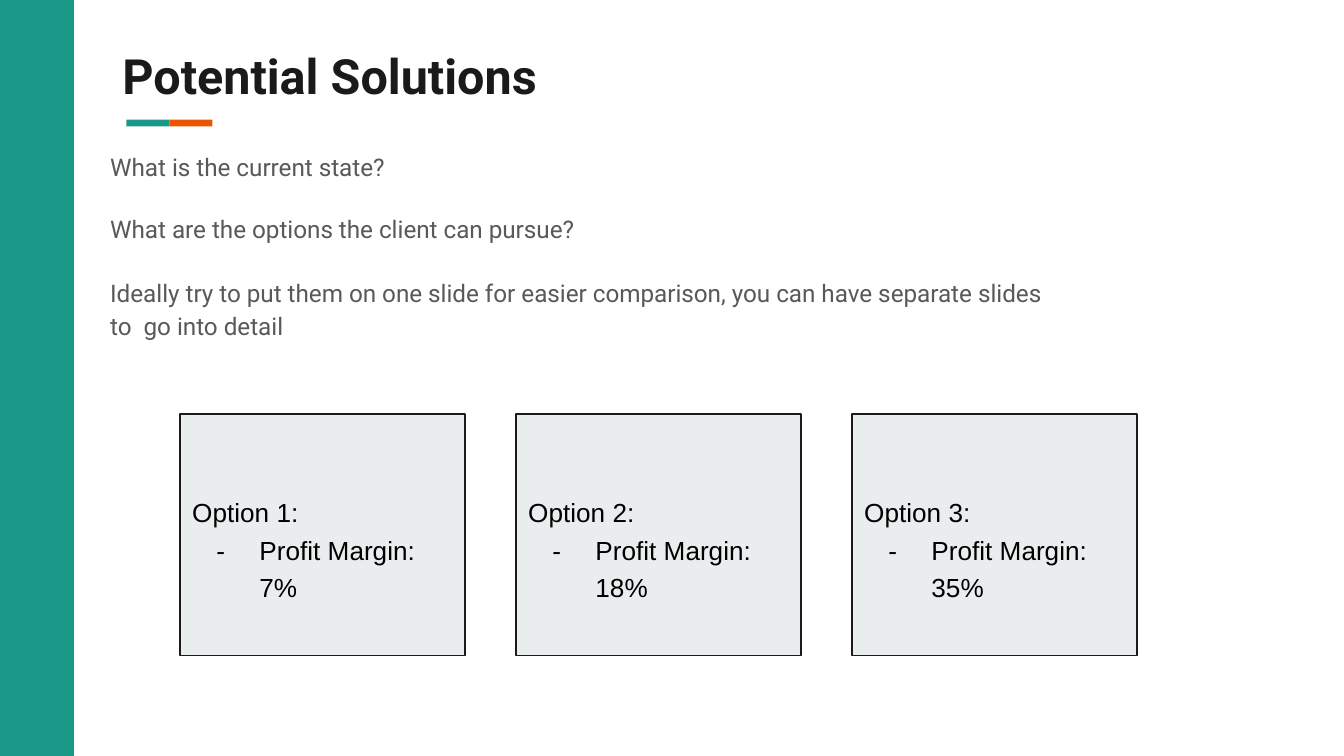
from pptx import Presentation
from pptx.dml.color import RGBColor as Rgb
from pptx.enum.shapes import MSO_SHAPE as Preset
from pptx.enum.text import MSO_ANCHOR as Anchor, PP_ALIGN as Align
from pptx.util import Inches, Pt

COLORS = {"teal": "1A9988", "orange": "EB5500", "ink": "1A1A1A",
          "gray": "595959", "panel": "E9EDEE", "black": "000000"}


def write(frame, text, first=False, font="Roboto", size=13, color="gray", bold=False,
          before=0, spacing=1.0, left=0.01, hang=0):
    """Write one paragraph; left and hang are inches, before is points."""
    if first:
        frame.word_wrap = True
        frame.vertical_anchor = Anchor.TOP
        frame.margin_left = frame.margin_right = frame.margin_bottom = 0
    line = frame.paragraphs[0] if first else frame.add_paragraph()
    line.text = text
    line.alignment = Align.LEFT
    line.line_spacing = spacing
    line.space_before = Pt(before)
    props = line._p.get_or_add_pPr()
    props.set("marL", str(Inches(left)))
    props.set("indent", str(Inches(-hang)))
    for run in line.runs:
        run.font.name, run.font.size, run.font.bold = font, Pt(size), bold
        run.font.color.rgb = Rgb.from_string(COLORS[color])


def add_box(left, top, width, height, fill, outline=None):
    box = slide.shapes.add_shape(Preset.RECTANGLE, *map(Inches, (left, top, width, height)))
    box.shadow.inherit = False
    box.fill.solid()
    box.fill.fore_color.rgb = Rgb.from_string(COLORS[fill])
    if outline:
        box.line.color.rgb = Rgb.from_string(COLORS[outline])
        box.line.width = Pt(0.75)
    else:
        box.line.fill.background()
    return box


WIDTH = 10
HEIGHT = WIDTH * 9 / 16
deck = Presentation()
deck.slide_width, deck.slide_height = Inches(WIDTH), Inches(HEIGHT)
slide = deck.slides.add_slide(deck.slide_layouts[5])

# Side band and two-colour title rule
add_box(0, 0, 0.55, HEIGHT, "teal")
RULE_LEFT, RULE_WIDTH = 0.94, 0.32
for part, color in enumerate(("teal", "orange")):
    add_box(RULE_LEFT + part * RULE_WIDTH, 0.89, RULE_WIDTH, 0.05, color)

title = slide.shapes.title
title.left, title.top, title.width, title.height = map(Inches, (0.9, 0.33, 3.29, 0.46))
title.text_frame.margin_top = Inches(0.01)
write(title.text_frame, "Potential Solutions", first=True, size=26, color="ink", bold=True)

# Guiding questions: text, space before, line spacing
QUESTIONS = [
    ("What is the current state?", 0, 1),
    ("What are the options the client can pursue?", 18, 1),
    ("Ideally try to put them on one slide for easier comparison, "
     "you can have separate slides to  go into detail", 16, 1.15),
]
guidance = slide.shapes.add_textbox(*map(Inches, (0.8, 1.11, 6.97, 1.43))).text_frame
guidance.margin_top = Inches(0.02)
for row, (question, before, spacing) in enumerate(QUESTIONS):
    write(guidance, question, first=row == 0, left=0.02, before=before, spacing=spacing)

# Option panels on an even column grid
OPTION_LEFT, OPTION_STEP = 1.34, 2.5
for column, margin in enumerate(("7%", "18%", "35%")):
    option = add_box(OPTION_LEFT + column * OPTION_STEP, 3.08, 2.12, 1.8,
                     "panel", "ink").text_frame
    option.margin_top = Inches(0.57)
    write(option, f"Option {column + 1}:", first=True, font="Arial", size=14,
          color="black", spacing=1.19, left=0.09)
    write(option, f"-\tProfit Margin:  {margin}", font="Arial", size=14, color="black",
          before=0.7, spacing=1.18, left=0.59, hang=0.32)

deck.save("out.pptx")
